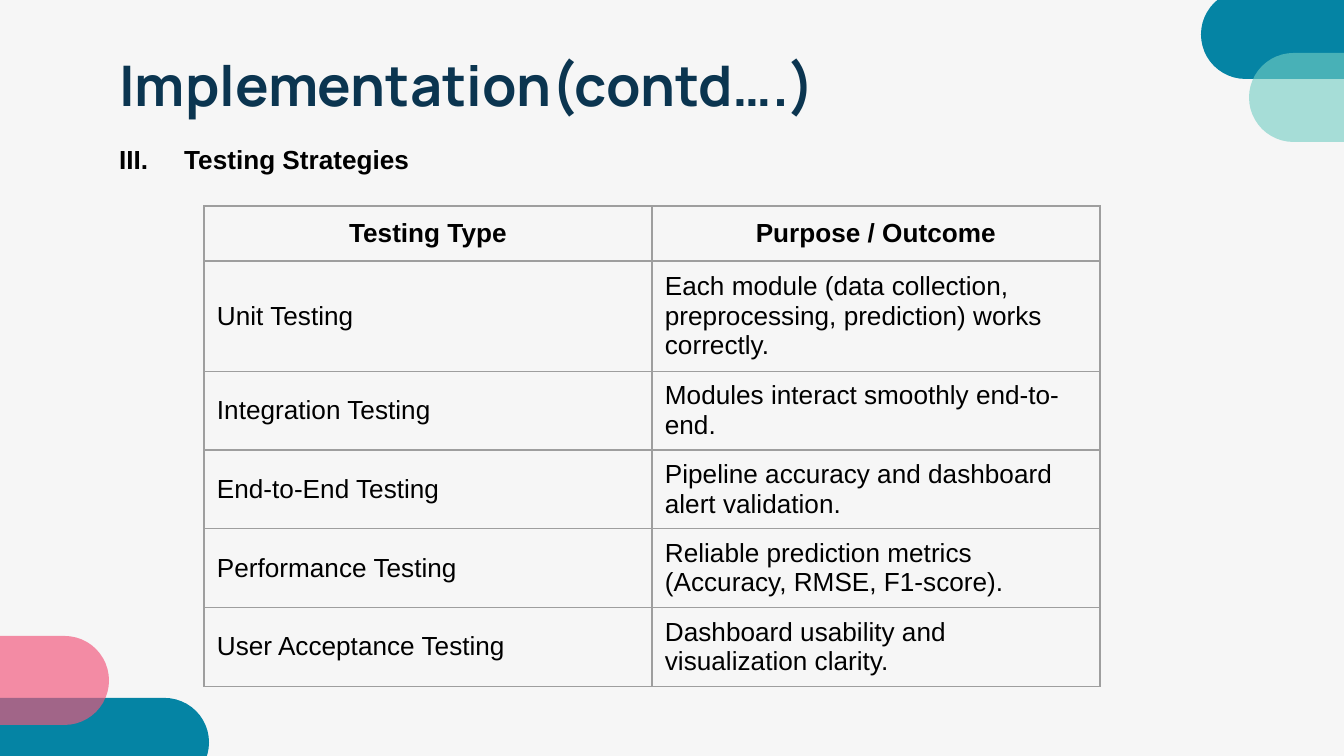
from lxml import etree
from pptx import Presentation
from pptx.dml.color import RGBColor
from pptx.enum.shapes import MSO_SHAPE as Preset
from pptx.enum.text import MSO_ANCHOR as Anchor, MSO_AUTO_SIZE as AutoSize, PP_ALIGN as Align
from pptx.oxml import parse_xml
from pptx.oxml.ns import nsdecls, qn
from pptx.util import Pt

COLORS = {
    "background": "F6F6F6", "navy": "0B3550", "black": "000000", "border": "9E9E9E",
    "teal": "0584A4", "mint": "74CEC4", "pink": "F2557A",
}
TITLE = "Implementation(contd….)"
SUBTITLE = "III.\tTesting Strategies"
HEADER = ("Testing Type", "Purpose / Outcome")
TESTS = [
    ("Unit Testing", "Each module (data collection, preprocessing, prediction) works correctly."),
    ("Integration Testing", "Modules interact smoothly end-to-end."),
    ("End-to-End Testing", "Pipeline accuracy and dashboard alert validation."),
    ("Performance Testing", "Reliable prediction metrics (Accuracy, RMSE, F1-score)."),
    ("User Acceptance Testing", "Dashboard usability and visualization clarity."),
]
PILLS = [
    (1201, -10, 593, "teal", 100),
    (1249, 53, 411, "mint", 61),
    (-384, 698, 593, "teal", 100),
    (-133, 636, 242, "pink", 66),
]
PILL_HEIGHT = 89
ROW_HEIGHTS = [55, 107, 76, 76, 76, 76]
COLUMN_WIDTH = 448
TAB_STOP = 65


def px(value):
    return round(value * 914400 / 134.4)


def rgb(name):
    return RGBColor.from_string(COLORS[name])


def write(frame, text, *, size=14, font="Arial", color="black", bold=False,
          align=Align.LEFT, spacing=1.0, tab=None):
    paragraph = frame.paragraphs[0]
    paragraph.text = text
    paragraph.alignment = align
    paragraph.line_spacing = spacing
    if tab:
        tabs = etree.SubElement(paragraph._p.get_or_add_pPr(), qn("a:tabLst"))
        etree.SubElement(tabs, qn("a:tab"), pos=str(px(tab)), algn="l")
    for run in paragraph.runs:
        run.font.size = Pt(size)
        run.font.name = font
        run.font.bold = bold
        run.font.color.rgb = rgb(color)


def add_pill(slide, left, top, width, color, opacity):
    shape = slide.shapes.add_shape(
        Preset.ROUNDED_RECTANGLE, px(left), px(top), px(width), px(PILL_HEIGHT))
    shape.adjustments[0] = 0.5
    shape.shadow.inherit = False
    shape.line.fill.background()
    shape.fill.solid()
    shape.fill.fore_color.rgb = rgb(color)
    if opacity < 100:
        fill_color = shape._element.spPr.find(".//" + qn("a:srgbClr"))
        etree.SubElement(fill_color, qn("a:alpha"), val=str(opacity * 1000))


def add_borders(cell):
    properties = cell._tc.get_or_add_tcPr()
    for index, side in enumerate(("lnL", "lnR", "lnT", "lnB")):
        properties.insert(index, parse_xml(
            f'<a:{side} {nsdecls("a")} w="{Pt(0.75)}"><a:solidFill>'
            f'<a:srgbClr val="{COLORS["border"]}"/></a:solidFill></a:{side}>'))


def add_test_table(slide):
    rows = [HEADER, *TESTS]
    table = slide.shapes.add_table(
        len(rows), len(HEADER), px(204), px(206),
        px(COLUMN_WIDTH * len(HEADER)), px(sum(ROW_HEIGHTS))).table
    table.first_row = table.horz_banding = False
    for column in table.columns:
        column.width = px(COLUMN_WIDTH)
    for row_index, texts in enumerate(rows):
        table.rows[row_index].height = px(ROW_HEIGHTS[row_index])
        for column_index, text in enumerate(texts):
            cell = table.cell(row_index, column_index)
            cell.fill.background()
            cell.vertical_anchor = Anchor.MIDDLE
            cell.margin_left = cell.margin_right = px(13)
            cell.margin_top = cell.margin_bottom = px(8)
            header = row_index == 0
            body_align = Align.LEFT if column_index else Align.JUSTIFY
            write(cell.text_frame, text, bold=header,
                  align=Align.CENTER if header else body_align)
            add_borders(cell)


def main():
    presentation = Presentation()
    presentation.slide_width, presentation.slide_height = px(1344), px(756)
    slide = presentation.slides.add_slide(presentation.slide_layouts[5])
    slide.background.fill.solid()
    slide.background.fill.fore_color.rgb = rgb("background")

    for pill in PILLS:
        add_pill(slide, *pill)

    title = slide.shapes.title
    title.left, title.top, title.width, title.height = px(106), px(38), px(1133), px(84)
    frame = title.text_frame
    frame.auto_size = AutoSize.NONE
    frame.vertical_anchor = Anchor.TOP
    frame.margin_left = frame.margin_right = frame.margin_top = frame.margin_bottom = px(13)
    write(frame, TITLE, size=30, font="Manrope", color="navy", bold=True)

    subtitle = slide.shapes.add_textbox(px(106), px(121), px(1118), px(150))
    subtitle.text_frame.word_wrap = True
    write(subtitle.text_frame, SUBTITLE, bold=True, align=Align.JUSTIFY,
          spacing=1.5, tab=TAB_STOP)

    add_test_table(slide)
    presentation.save("out.pptx")


if __name__ == "__main__":
    main()
